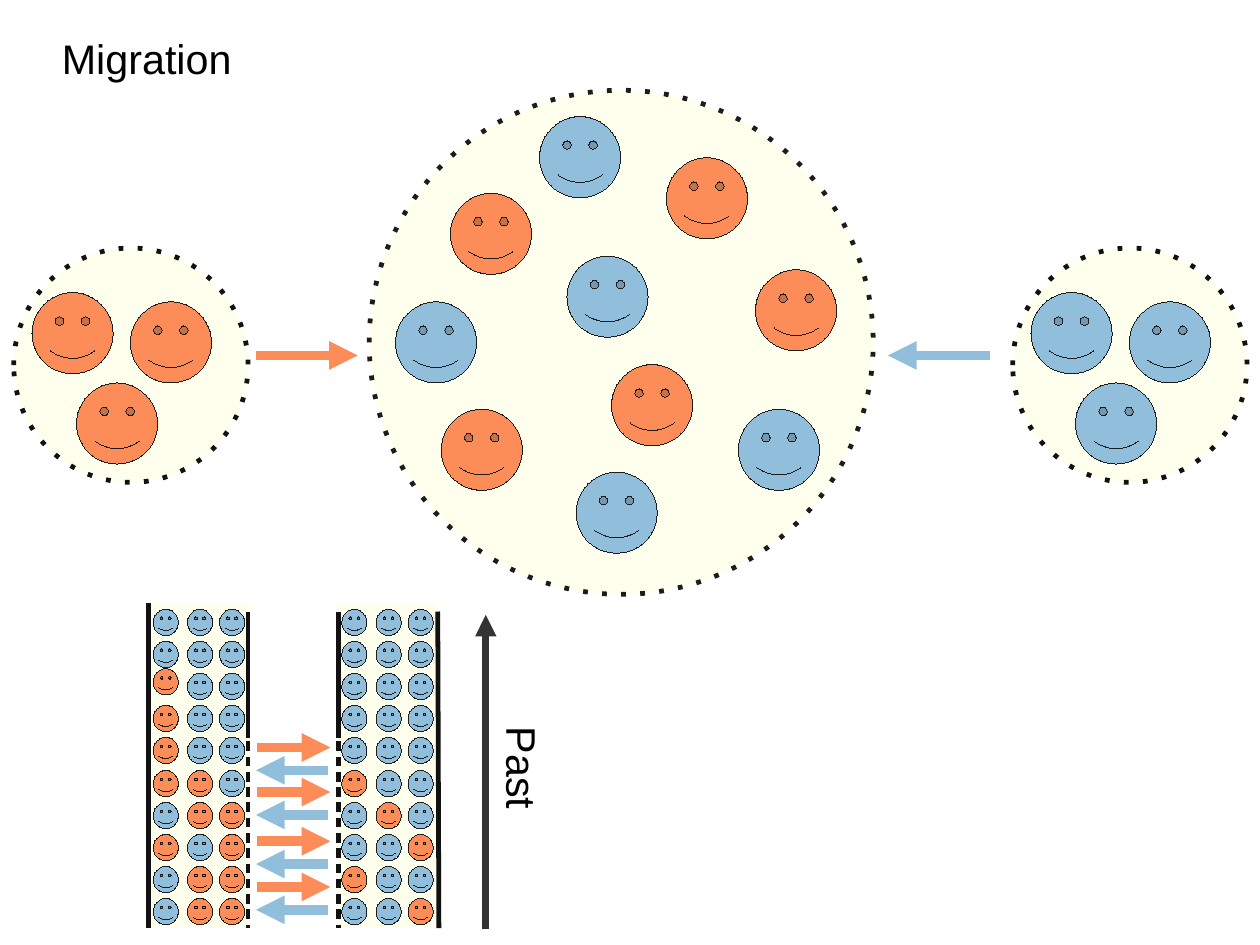
from typing import NamedTuple, Optional

from lxml import etree
from pptx import Presentation
from pptx import util as u
from pptx.dml.color import RGBColor
from pptx.enum import shapes, text
from pptx.oxml.ns import qn

PX = 9144  # 100 px to the inch
ORANGE = RGBColor(0xFC, 0x8D, 0x59)
BLUE = RGBColor(0x91, 0xBF, 0xDB)
CREAM = RGBColor(0xFF, 0xFF, 0xBF)
INK = RGBColor(0x11, 0x11, 0x11)
DARK = RGBColor(0x1C, 0x1C, 0x1C)
GREY = RGBColor(0x33, 0x33, 0x33)
BLACK = RGBColor(0, 0, 0)
COLORS = {"O": ORANGE, "B": BLUE}
DOTTED = (100, 300)  # dash and gap, percent of line width
DASHED = (200, 120)


class Population(NamedTuple):
    x: int
    y: int
    size: int
    outline: RGBColor
    faces: list[tuple[int, int, str]]


class Column(NamedTuple):
    x: int
    outer: tuple[int, int, int, int]
    inner_x: int
    rows: list[str]


POPULATIONS = [
    Population(12, 217, 205, INK, [(67, 335, "O"), (28, 256, "O"), (114, 264, "O")]),
    Population(323, 79, 441, DARK, [
        (394, 169, "O"), (535, 319, "O"), (583, 138, "O"), (472, 102, "B"),
        (386, 358, "O"), (646, 358, "B"), (346, 264, "B"), (496, 224, "B"),
        (504, 413, "B"), (661, 236, "O")]),
    Population(886, 217, 205, INK, [(941, 335, "B"), (902, 256, "B"), (988, 264, "B")]),
]
COLUMNS = [
    Column(130, (130, 528, 130, 812), 217,
           "BBB BBB OBB OBB OBB OOB BOO OBO BOO BOO".split()),
    Column(295, (383, 535, 384, 812), 296,
           "BBB BBB BBB BBB BBB OBB BOB BBO OBB BBO".split()),
]
FACE_OFFSETS = (4, 34, 62)
FIRST_ROW, ROW_STEP = 533, 28.1

prs = Presentation()
prs.slide_width, prs.slide_height = u.Cm(28), u.Cm(21)
s = prs.slides.add_slide(prs.slide_layouts[6])


def add_dash(line, dash: tuple[int, int]) -> None:
    ln = line._get_or_add_ln()
    cust = etree.Element(qn("a:custDash"))
    etree.SubElement(cust, qn("a:ds"), d=str(dash[0] * 1000), sp=str(dash[1] * 1000))
    ln.find(qn("a:solidFill")).addnext(cust)


def add_shape(kind, x: int, y: int, w: int, h: int, fill: RGBColor,
              outline: Optional[RGBColor] = None, width: float = 0):
    sp = s.shapes.add_shape(kind, x * PX, y * PX, w * PX, h * PX)
    sp.shadow.inherit = False
    sp.fill.solid()
    sp.fill.fore_color.rgb = fill
    if fill == CREAM:
        clr = sp._element.spPr.find(qn("a:solidFill"))[0]
        etree.SubElement(clr, qn("a:alpha"), val="26000")
    if outline is None:
        sp.line.fill.background()
    else:
        sp.line.color.rgb = outline
        # A zero width must be written out to give a hairline
        sp.line._get_or_add_ln().set("w", str(int(u.Pt(width))))
    return sp


def add_face(x: int, y: int, w: int, h: int, key: str) -> None:
    sp = add_shape(shapes.MSO_SHAPE.SMILEY_FACE, x, y, w, h, COLORS[key], DARK)
    sp.adjustments[0] = 0.093


def add_line(x1: int, y1: int, x2: int, y2: int, color: RGBColor, width: float,
             dash: Optional[tuple[int, int]] = None, arrow: bool = False) -> None:
    cn = s.shapes.add_connector(shapes.MSO_CONNECTOR.STRAIGHT,
                                x1 * PX, y1 * PX, x2 * PX, y2 * PX)
    cn.line.color.rgb = color
    cn.line.width = u.Pt(width)
    if dash:
        add_dash(cn.line, dash)
    if arrow:
        etree.SubElement(cn.line._get_or_add_ln(), qn("a:tailEnd"), type="triangle")
    etree.SubElement(cn._element.spPr, qn("a:effectLst"))


def add_label(x: int, y: int, w: int, h: int, words: str,
              align: text.PP_ALIGN, rotation: int = 0) -> None:
    tb = s.shapes.add_textbox(x * PX, y * PX, w * PX, h * PX)
    tb.rotation = rotation
    tf = tb.text_frame
    tf.word_wrap = False
    tf.auto_size = text.MSO_AUTO_SIZE.SHAPE_TO_FIT_TEXT
    tf.text = words
    p = tf.paragraphs[0]
    p.alignment = align
    r = p.runs[0]
    r.font.name, r.font.size = "Arial", u.Pt(26)
    r.font.color.rgb = BLACK


# Populations and their members
for pop in POPULATIONS:
    circle = add_shape(shapes.MSO_SHAPE.OVAL, pop.x, pop.y, pop.size, pop.size,
                       CREAM, pop.outline, 3)
    add_dash(circle.line, DOTTED)
    for x, y, key in pop.faces:
        add_face(x, y, 71, 71, key)

# Migration into the large population
add_line(866, 311, 777, 311, BLUE, 6, arrow=True)
add_line(224, 311, 313, 311, ORANGE, 6, arrow=True)

# Two lineages through time, with walls that open to migration
for col in COLUMNS:
    add_shape(shapes.MSO_SHAPE.RECTANGLE, col.x, 528, 88, 283, CREAM)
    add_line(*col.outer, INK, 3)
    add_line(col.inner_x, 622, col.inner_x, 812, INK, 3, dash=DASHED)
    add_line(col.inner_x, 535, col.inner_x, 646, INK, 3)
    for i, row in enumerate(col.rows):
        for j, (dx, key) in enumerate(zip(FACE_OFFSETS, row)):
            # The first migrant sits slightly higher than its row
            lift = 4 if (i, j, key) == (2, 0, "O") else 0
            add_face(col.x + dx, round(FIRST_ROW + i * ROW_STEP) - lift, 22, 23, key)

# Exchange between the lineages
for y in (654, 693, 736, 776):
    add_line(225, y, 289, y, ORANGE, 6, arrow=True)
    add_line(287, y + 20, 224, y + 20, BLUE, 6, arrow=True)

# Time axis and title
add_line(425, 813, 425, 538, GREY, 4.5, arrow=True)
add_label(410, 650, 98, 50, "Past", text.PP_ALIGN.LEFT, 90)
add_label(36, 24, 185, 59, "Migration", text.PP_ALIGN.CENTER)

prs.save("out.pptx")
